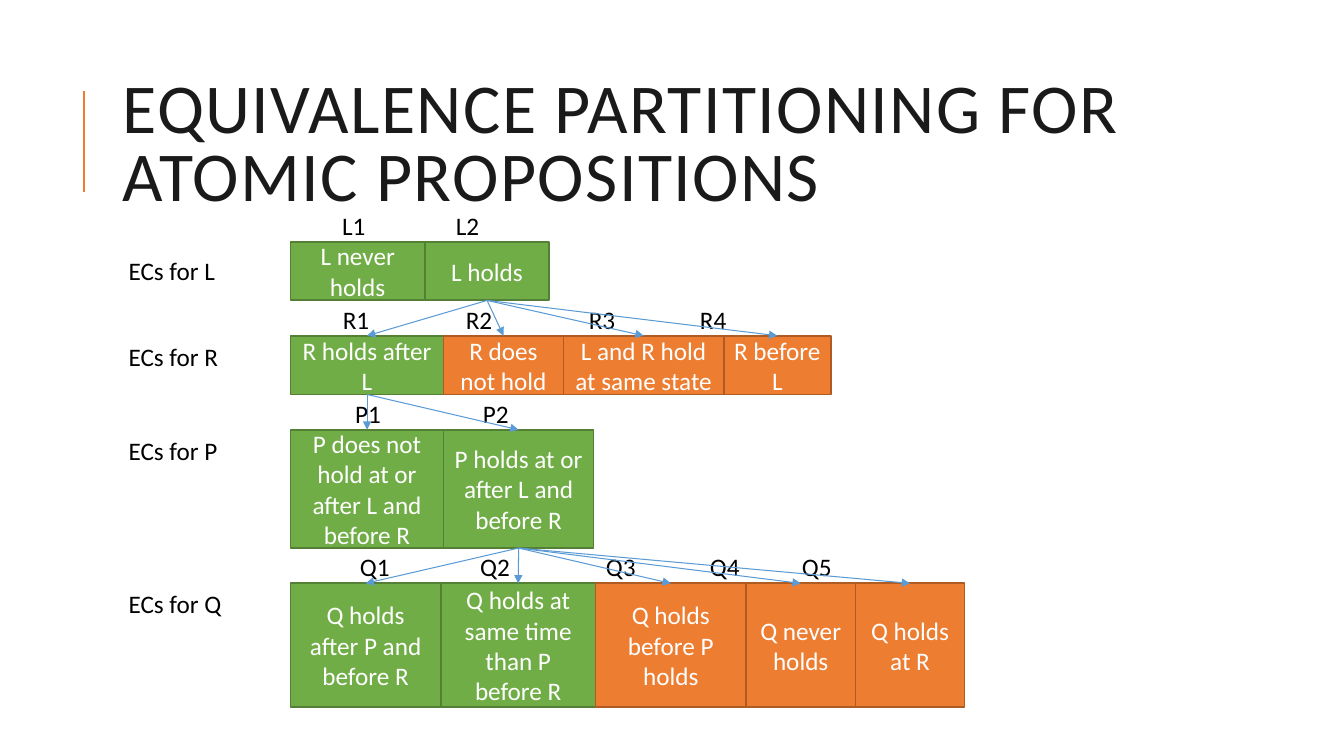
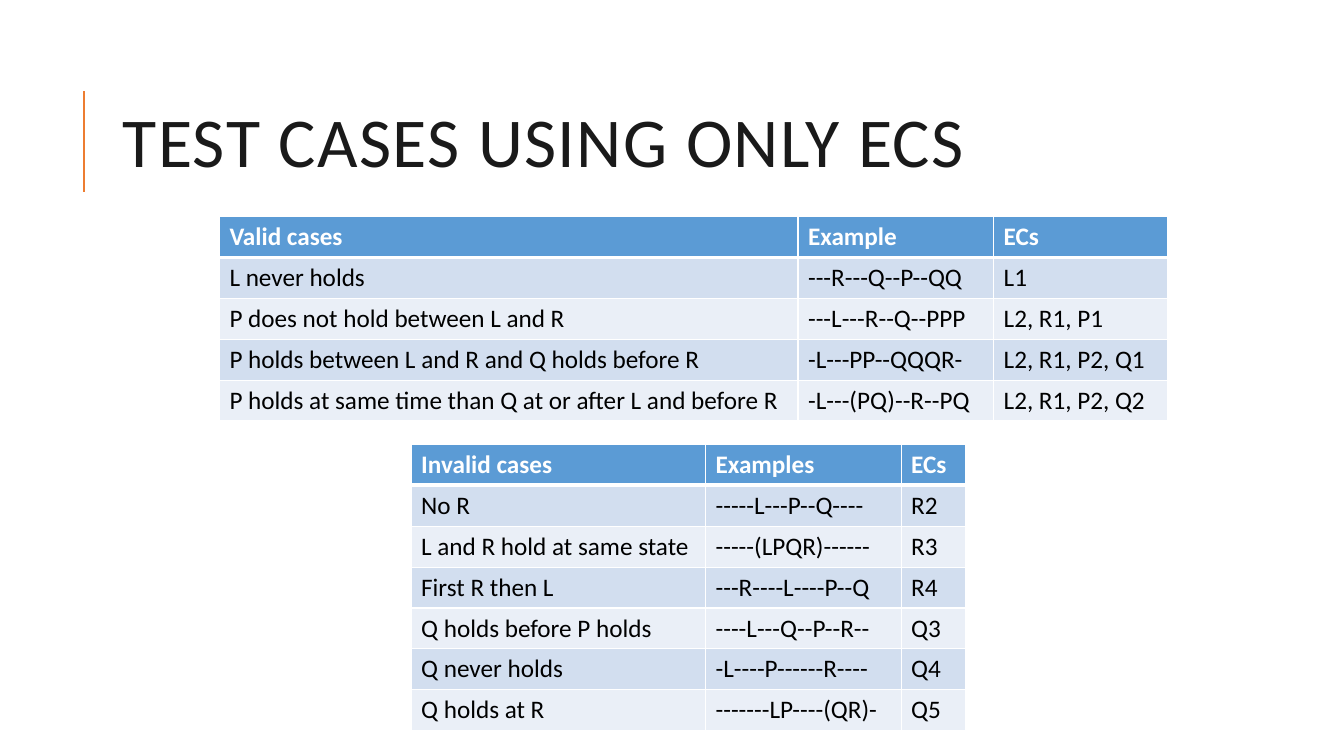
from itertools import accumulate

from lxml import etree
from pptx import Presentation
from pptx.dml.color import RGBColor
from pptx.enum.shapes import MSO_CONNECTOR, MSO_SHAPE
from pptx.enum.text import MSO_ANCHOR, MSO_AUTO_SIZE, PP_ALIGN
from pptx.oxml.ns import qn
from pptx.util import Cm, Pt

STRAIGHT = MSO_CONNECTOR.STRAIGHT
RECTANGLE = MSO_SHAPE.RECTANGLE
MIDDLE = MSO_ANCHOR.MIDDLE
TOP = MSO_ANCHOR.TOP
NO_AUTOFIT = MSO_AUTO_SIZE.NONE
LEFT, CENTER = PP_ALIGN.LEFT, PP_ALIGN.CENTER
TOP_SITE, BOTTOM_SITE = 0, 2

FONT = "Calibri"
WHITE, BLACK, TITLE_INK = "FFFFFF", "000000", "1A1A1A"
ORANGE, BLUE = "ED7D31", "5B9BD5"
ROW_BANDS = ("D2DEEF", "EAEFF7")
VALID = ("70AD47", "538035")
INVALID = (ORANGE, "AF5C24")

# Partition diagram, in centimetres
DIAGRAM_LEFT, DIAGRAM_TOP = 7.32, 6.09
ROW_GAP = 0.89
LABEL_RISE = 0.8
NAME_LEFT = 3.24
TABLE_ROW_HEIGHT = 1.03

# Each class: text, width, colours, code and left edge of the code.
# "parent" is the index of the class in the row above that is refined.
PARTITIONS = [
    {"name": "ECs for L", "name_drop": 0.34, "height": 1.48, "parent": None, "classes": [
        ("L never holds", 3.39, VALID, "L1", 8.62),
        ("L holds", 3.13, VALID, "L2", 11.49)]},
    {"name": "ECs for R", "name_drop": 0.13, "height": 1.48, "parent": 1, "classes": [
        ("R holds after L", 3.86, VALID, "R1", 8.64),
        ("R does not hold", 3.02, INVALID, "R2", 11.74),
        ("L and R hold at same state", 4.04, INVALID, "R3", 14.84),
        ("R before L", 2.7, INVALID, "R4", 17.64)]},
    {"name": "ECs for P", "name_drop": 0.13, "height": 2.98, "parent": 0, "classes": [
        ("P does not hold at or after L and before R", 3.86, VALID, "P1", 8.95),
        ("P holds at or after L and before R", 3.78, VALID, "P2", 12.17)]},
    {"name": "ECs for Q", "name_drop": 0.13, "height": 3.11, "parent": 1, "classes": [
        ("Q holds after P and before R", 3.79, VALID, "Q1", 9.07),
        ("Q holds at same time than P before R", 3.9, VALID, "Q2", 12.1),
        ("Q holds before P holds", 3.79, INVALID, "Q3", 15.27),
        ("Q never holds", 2.76, INVALID, "Q4", 17.89),
        ("Q holds at R", 2.75, INVALID, "Q5", 20.21)]},
]

VALID_CASES = [
    ("Valid cases", "Example", "ECs"),
    ("L never holds", "---R---Q--P--QQ", "L1"),
    ("P does not hold between L and R", "---L---R--Q--PPP", "L2, R1, P1"),
    ("P holds between L and R and Q holds before R", "-L---PP--QQQR-", "L2, R1, P2, Q1"),
    ("P holds at same time than Q at or after L and before R", "-L---(PQ)--R--PQ",
     "L2, R1, P2, Q2"),
]
INVALID_CASES = [
    ("Invalid cases", "Examples", "ECs"),
    ("No R", "-----L---P--Q----", "R2"),
    ("L and R hold at same state", "-----(LPQR)------", "R3"),
    ("First R then L", "---R----L----P--Q", "R4"),
    ("Q holds before P holds", "----L---Q--P--R--", "Q3"),
    ("Q never holds", "-L----P------R----", "Q4"),
    ("Q holds at R", "-------LP----(QR)-", "Q5"),
]


def rgb(color):
    return RGBColor.from_string(color)


def set_attributes(target, values):
    for attribute, value in values.items():
        setattr(target, attribute, value)


def fill_solid(fill, color):
    fill.solid()
    fill.fore_color.rgb = rgb(color)


def set_borders(cell, widths):
    """Draw white cell borders; widths are points in the order left, right, top, bottom."""
    properties = cell._tc.get_or_add_tcPr()
    for position, (side, width) in enumerate(zip("LRTB", widths)):
        border = etree.Element(qn(f"a:ln{side}"), w=str(Pt(width)))
        paint = etree.SubElement(border, qn("a:solidFill"))
        etree.SubElement(paint, qn("a:srgbClr"), val=WHITE)
        properties.insert(position, border)


class Deck:
    """Holds the presentation style and the slide being built."""

    def __init__(self):
        self.presentation = Presentation()
        set_attributes(self.presentation,
                       {"slide_width": Cm(33.87), "slide_height": Cm(19.05)})
        self.slide = None

    def start_slide(self, title):
        layout = self.presentation.slide_layouts.get_by_name("Title Only")
        self.slide = self.presentation.slides.add_slide(layout)
        heading = self.slide.shapes.title
        set_attributes(heading, {"left": Cm(2.84), "top": Cm(1.63),
                                 "width": Cm(27), "height": Cm(4.17)})
        self.set_text(heading.text_frame, title, size=50, color=TITLE_INK, anchor=MIDDLE)
        paragraph = heading.text_frame.paragraphs[0]
        paragraph.line_spacing = 0.8
        paragraph.runs[0]._r.get_or_add_rPr().set("spc", "100")
        self.line((2.12, 4.83), (2.12, 2.29), ORANGE, 1.5)

    def set_text(self, frame, text, size=18, color=BLACK, bold=False,
                 align=LEFT, anchor=TOP, wrap=True):
        set_attributes(frame, {"auto_size": NO_AUTOFIT, "word_wrap": wrap,
                               "vertical_anchor": anchor})
        self.fill_paragraph(frame, text, size, color, bold, align)

    def fill_paragraph(self, frame, text, size, color, bold, align):
        paragraph = frame.paragraphs[0]
        paragraph.alignment = align
        run = paragraph.add_run()
        run.text = text
        set_attributes(run.font, {"name": FONT, "size": Pt(size), "bold": bold})
        run.font.color.rgb = rgb(color)

    def line(self, start, end, color, width):
        connector = self.slide.shapes.add_connector(
            STRAIGHT, *(Cm(length) for length in (*start, *end)))
        connector.line.color.rgb = rgb(color)
        connector.line.width = Pt(width)
        etree.SubElement(connector.element.spPr, qn("a:effectLst"))
        return connector

    def arrow(self, parent, child):
        """Join the bottom of one box to the top of another."""
        connector = self.line((0, 0), (1, 1), BLUE, 0.75)
        connector.begin_connect(parent, BOTTOM_SITE)
        connector.end_connect(child, TOP_SITE)
        outline = connector.element.spPr.find(qn("a:ln"))
        etree.SubElement(outline, qn("a:tailEnd"), type="triangle")

    def box(self, text, left, top, width, height, colors):
        fill, outline = colors
        box = self.slide.shapes.add_shape(
            RECTANGLE, Cm(left), Cm(top), Cm(width), Cm(height))
        box.shadow.inherit = False
        fill_solid(box.fill, fill)
        box.line.color.rgb = rgb(outline)
        box.line.width = Pt(1.25)
        self.set_text(box.text_frame, text, color=WHITE, align=CENTER, anchor=MIDDLE)
        return box

    def label(self, text, left, top, width=1):
        label = self.slide.shapes.add_textbox(Cm(left), Cm(top), Cm(width), Cm(0.8))
        margins = ("margin_left", "margin_right", "margin_top", "margin_bottom")
        set_attributes(label.text_frame, dict.fromkeys(margins, 0))
        self.set_text(label.text_frame, text, wrap=False)

    def partition_row(self, partition, top, parent):
        classes = partition["classes"]
        lefts = accumulate((width for _, width, *_ in classes), initial=DIAGRAM_LEFT)
        boxes = [self.box(text, left, top, width, partition["height"], colors)
                 for (text, width, colors, _, _), left in zip(classes, lefts)]
        self.label(partition["name"], NAME_LEFT, top + partition["name_drop"], 2.4)
        for *_, code, code_left in classes:
            self.label(code, code_left, top - LABEL_RISE)
        if parent is not None:
            for box in boxes:
                self.arrow(parent, box)
        return boxes

    def table(self, rows, left, top, widths):
        table = self.slide.shapes.add_table(
            len(rows), len(widths), Cm(left), Cm(top), Cm(sum(widths)),
            Cm(TABLE_ROW_HEIGHT * len(rows))).table
        for column, width in zip(table.columns, widths):
            column.width = Cm(width)
        for row_index, values in enumerate(rows):
            table.rows[row_index].height = Cm(TABLE_ROW_HEIGHT)
            header = row_index == 0
            background = BLUE if header else ROW_BANDS[(row_index - 1) % 2]
            borders = (1, 1, 3 if row_index == 1 else 1, 3 if header else 1)
            for column_index, value in enumerate(values):
                cell = table.cell(row_index, column_index)
                fill_solid(cell.fill, background)
                set_borders(cell, borders)
                self.fill_paragraph(cell.text_frame, value, 18,
                                    WHITE if header else BLACK, header, LEFT)


def main():
    deck = Deck()

    deck.start_slide("EQUIVALENCE PARTITIONING FOR ATOMIC PROPOSITIONS")
    top, boxes = DIAGRAM_TOP, []
    for partition in PARTITIONS:
        parent = boxes[partition["parent"]] if boxes else None
        boxes = deck.partition_row(partition, top, parent)
        top += partition["height"] + ROW_GAP

    deck.start_slide("TEST CASES USING ONLY ECS")
    deck.table(VALID_CASES, 5.53, 5.46, (14.58, 4.93, 4.39))
    deck.table(INVALID_CASES, 10.36, 11.2, (7.42, 4.93, 1.63))

    deck.presentation.save("out.pptx")


if __name__ == "__main__":
    main()
